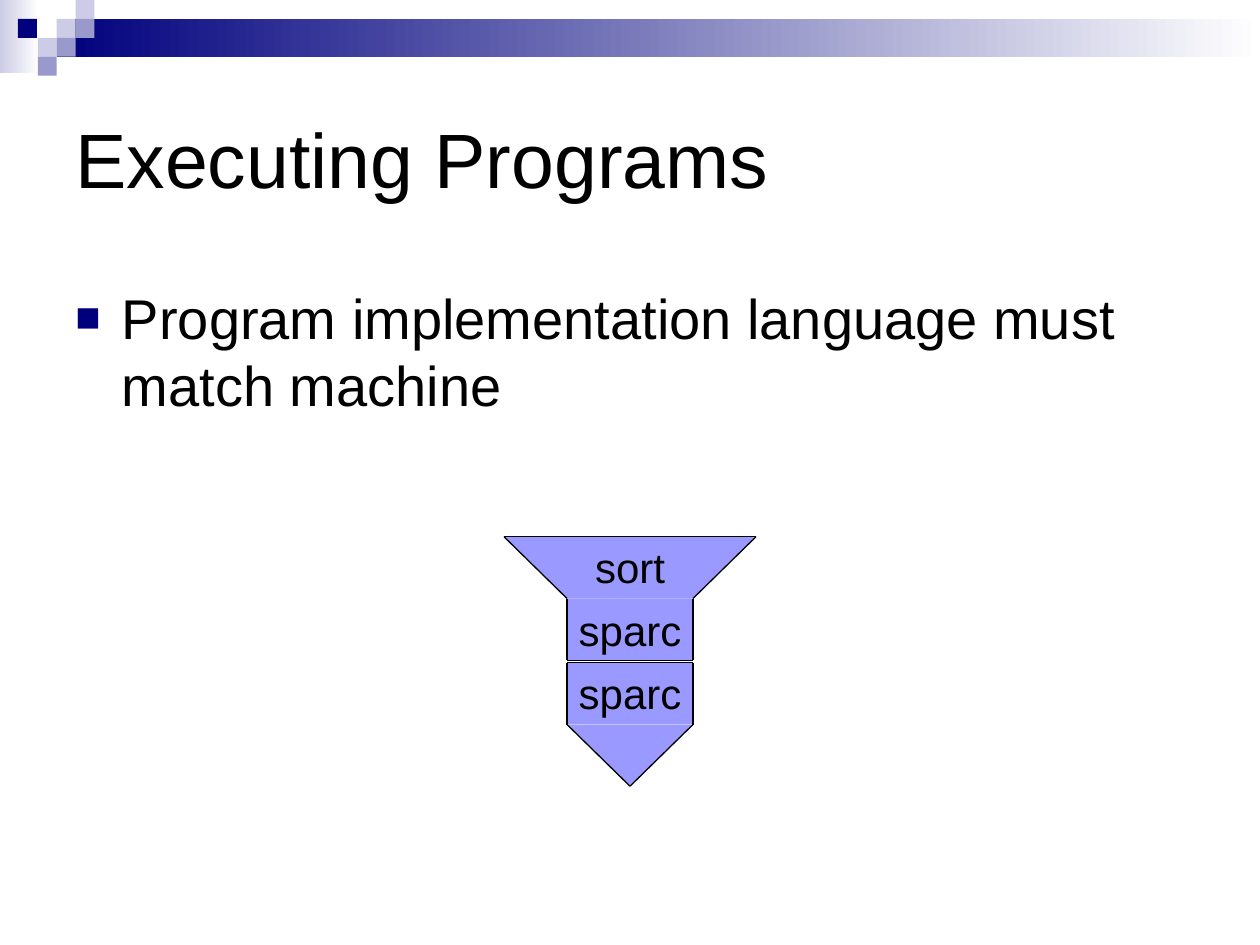
from itertools import pairwise

from lxml import etree
from pptx import Presentation
from pptx.dml.color import RGBColor
from pptx.enum.shapes import MSO_CONNECTOR, MSO_SHAPE
from pptx.enum.text import MSO_ANCHOR, PP_ALIGN
from pptx.oxml.ns import qn
from pptx.util import Inches, Pt

RECTANGLE = MSO_SHAPE.RECTANGLE
STRAIGHT = MSO_CONNECTOR.STRAIGHT
MIDDLE, TOP = MSO_ANCHOR.MIDDLE, MSO_ANCHOR.TOP
CENTER, LEFT = PP_ALIGN.CENTER, PP_ALIGN.LEFT

FONT = "Arial"
BLACK, WHITE = "000000", "FFFFFF"
NAVY, LAVENDER, PALE = "00007D", "9999CC", "CCCCE6"
PROGRAM_FILL = "9999FF"


def color(hex_value):
    return RGBColor.from_string(hex_value)


def fill_plain(shape, hex_value):
    shape.fill.solid()
    shape.fill.fore_color.rgb = color(hex_value)
    shape.line.fill.background()
    shape.shadow.inherit = False


def add_rectangle(slide, left, top, width, height, hex_value):
    shape = slide.shapes.add_shape(
        RECTANGLE, Inches(left), Inches(top), Inches(width), Inches(height))
    fill_plain(shape, hex_value)
    return shape


def add_fading_rectangle(slide, left, top, width, height, hex_value):
    shape = add_rectangle(slide, left, top, width, height, hex_value)
    shape.fill.gradient()
    shape.fill.gradient_angle = 0
    for stop, stop_color in zip(shape.fill.gradient_stops, (hex_value, WHITE)):
        stop.color.rgb = color(stop_color)


def add_polygon(slide, points, hex_value):
    corners = [(Inches(x), Inches(y)) for x, y in points]
    builder = slide.shapes.build_freeform(*corners[0])
    builder.add_line_segments(corners[1:], close=True)
    fill_plain(builder.convert_to_shape(), hex_value)


def add_outline(slide, points):
    """Draw a separate line between each pair of neighbouring points."""
    for (x1, y1), (x2, y2) in pairwise(points):
        line = slide.shapes.add_connector(
            STRAIGHT, Inches(x1), Inches(y1), Inches(x2), Inches(y2))
        line.line.color.rgb = color(BLACK)
        line.line.width = Pt(0.75)
        etree.SubElement(line._element.spPr, qn("a:effectLst"))


def add_text(slide, left, top, width, height, text, size,
             anchor=MIDDLE, alignment=LEFT, wrap=True, bullet=False):
    box = slide.shapes.add_textbox(
        Inches(left), Inches(top), Inches(width), Inches(height))
    frame = box.text_frame
    frame.text = text
    frame.word_wrap = wrap
    frame.vertical_anchor = anchor
    paragraph = frame.paragraphs[0]
    paragraph.alignment = alignment
    if bullet:
        add_square_bullet(paragraph)
    font = paragraph.runs[0].font
    font.name, font.size = FONT, Pt(size)
    font.color.rgb = color(BLACK)


def add_square_bullet(paragraph):
    properties = paragraph._p.get_or_add_pPr()
    properties.set("marL", str(Inches(0.37)))
    properties.set("indent", str(Inches(-0.37)))
    bullet_color = etree.SubElement(properties, qn("a:buClr"))
    etree.SubElement(bullet_color, qn("a:srgbClr"), val=NAVY)
    etree.SubElement(properties, qn("a:buSzPct"), val="75000")
    etree.SubElement(properties, qn("a:buFont"), typeface=FONT)
    etree.SubElement(properties, qn("a:buChar"), char="■")


def add_banner(slide, left, top, width):
    add_fading_rectangle(slide, left, top, 0.31, 0.58, PALE)
    add_fading_rectangle(slide, left + 0.45, top + 0.15, width - 0.45, 0.3, NAVY)
    tile = 0.15
    tiles = [(3, 1, PALE), (4, 0, PALE), (4, 1, LAVENDER), (2, 2, PALE),
             (0.95, 1, NAVY), (3, 2, LAVENDER), (2, 3, LAVENDER)]
    for column, row, hex_value in tiles:
        add_rectangle(slide, left + column * tile, top + row * tile,
                      tile, tile, hex_value)


def add_program(slide, left, top, width, row, name, language):
    """Draw a funnel: the program name above its implementation language."""
    right, middle, bottom = left + width, top + row, top + 2 * row
    neck_left, neck_right = left + width / 4, right - width / 4
    label_left, label_width = neck_left - 0.01, width / 2 + 0.02
    add_rectangle(slide, neck_left, middle, width / 2, row, PROGRAM_FILL)
    add_text(slide, label_left, middle, label_width, 0.5, language, 24,
             alignment=CENTER, wrap=False)
    funnel = [(left, top), (right, top), (neck_right, middle), (neck_left, middle)]
    add_polygon(slide, funnel, PROGRAM_FILL)
    add_text(slide, label_left, top - 0.01, label_width, 0.5, name, 24,
             alignment=CENTER, wrap=False)
    add_outline(slide, funnel[:3] + [(neck_right, bottom), (neck_left, bottom),
                                     funnel[3], funnel[0]])


def add_machine(slide, left, top, width, row, language):
    """Draw a block with a point below it: a machine and its language."""
    right, middle = left + width, top + row
    point = (left + width / 2, middle + row)
    add_rectangle(slide, left, top, width, row, PROGRAM_FILL)
    add_text(slide, left - 0.01, top - 0.01, width + 0.02, 0.5, language, 24,
             alignment=CENTER, wrap=False)
    add_polygon(slide, [(left, middle), (right, middle), point], PROGRAM_FILL)
    add_outline(slide, [(left, top), (right, top), (right, middle), point,
                        (left, middle), (left, top)])


def main():
    presentation = Presentation()
    presentation.slide_width, presentation.slide_height = Inches(10), Inches(7.5)
    slide = presentation.slides.add_slide(presentation.slide_layouts[6])
    add_banner(slide, 0, 0, 10)
    add_text(slide, 0.5, 0.5, 9, 1.5, "Executing Programs", 44)
    add_text(slide, 0.5, 2.2, 9, 4.25,
             "Program implementation language must match machine", 32,
             anchor=TOP, bullet=True)
    add_program(slide, 4, 4.26, 2, 0.49, "sort", "sparc")
    add_machine(slide, 4.5, 5.26, 1, 0.49, "sparc")
    presentation.save("out.pptx")


if __name__ == "__main__":
    main()
